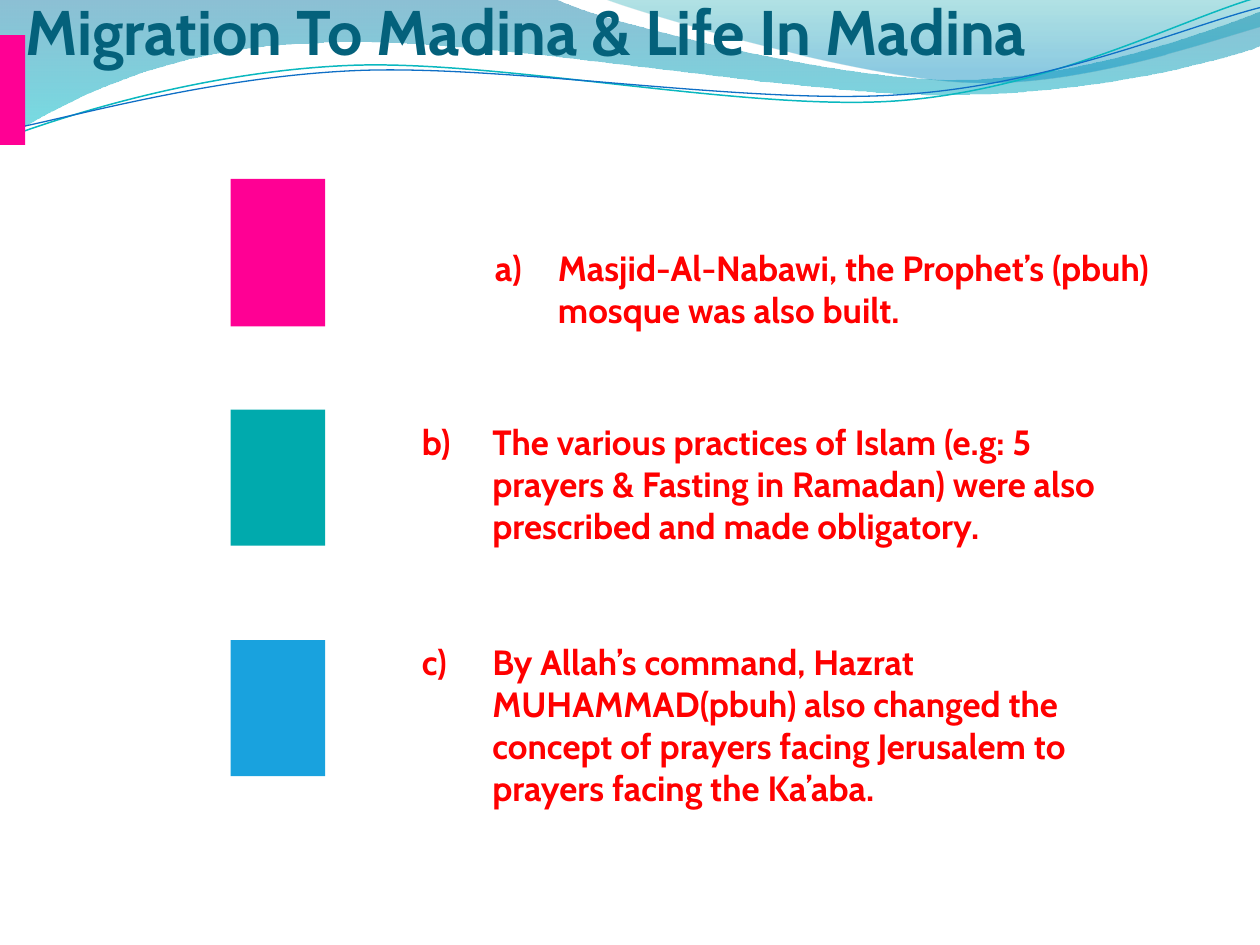
from math import cos, radians, sin
from pptx import Presentation
from pptx.dml.color import RGBColor
from pptx.enum.shapes import MSO_SHAPE
from pptx.enum.text import MSO_ANCHOR, MSO_AUTO_SIZE, PP_ALIGN
from pptx.oxml.ns import qn
from pptx.util import Inches, Pt
from lxml.etree import SubElement

FONT = "Cabin"
PINK, TEAL, BLUE = "FF0094", "00AAAD", "19A2DE"

# Each wave is a start point followed by segments: 2 numbers draw a line, 6 a Bezier curve.
BACK_WAVE = [(0, 0), (4.4, -0.01), (4.76, 0.17, 6.64, 0.63, 7.58, 0.63),
             (8.53, 0.63, 9.58, 0.26, 10, 0.09), (10.01, 0.36),
             (9.83, 0.44, 8.7, 0.76, 7.46, 0.75), (6.22, 0.75, 3.82, 0.28, 2.57, 0.34),
             (1.29, 0.36, 0.46, 0.83, -0.01, 1.13), (0, 0)]
FRONT_WAVE = [(4.79, -0.01), (5.09, 0.11, 6.82, 0.62, 7.69, 0.65),
              (8.56, 0.69, 9.61, 0.32, 10, 0.21), (10, 0), (4.79, -0.01)]
TEAL_LINE = [(0, 1.11), (0.48, 0.93, 1.58, 0.57, 2.77, 0.52),
             (3.95, 0.47, 5.93, 0.89, 7.13, 0.8), (8.33, 0.71, 9.38, 0.15, 9.98, -0.02)]
BLUE_LINE = [(0, 1.04), (0.47, 0.96, 1.64, 0.61, 2.83, 0.56),
             (4.03, 0.51, 5.97, 0.84, 7.17, 0.75), (8.36, 0.67, 9.41, 0.21, 10, 0.06)]
LINE_TILT = -2.7


def rgb(color):
    return RGBColor.from_string(color)


def set_text(tf, text, size, color, bold=True, anchor=MSO_ANCHOR.MIDDLE):
    tf.word_wrap = True
    tf.auto_size = MSO_AUTO_SIZE.NONE
    tf.vertical_anchor = anchor
    p = tf.paragraphs[0]
    p.alignment = PP_ALIGN.LEFT
    r = p.add_run()
    r.text = text
    r.font.name, r.font.size, r.font.bold = FONT, Pt(size), bold
    r.font.color.rgb = rgb(color)
    return p


def set_indent(p, left, hanging):
    pPr = p._p.get_or_add_pPr()
    pPr.set("marL", str(Inches(left)))
    pPr.set("indent", str(-Inches(hanging)))
    return pPr


def add_curve(s, outline, box, tilt=0):
    """Draw the outline in a box (left, top, width, height) turned by tilt degrees."""
    left, top, width, height = box
    cx, cy = left + width / 2, top + height / 2
    turn = radians(-tilt)

    def local(x, y):
        dx, dy = x - cx, y - cy
        return (Inches(dx * cos(turn) - dy * sin(turn) + width / 2),
                Inches(dx * sin(turn) + dy * cos(turn) + height / 2))

    builder = s.shapes.build_freeform(*local(*outline[0]))
    builder.add_line_segments([local(*seg[-2:]) for seg in outline[1:]],
                              close=outline[0] == outline[-1])
    sp = builder.convert_to_shape()
    sp.left, sp.top, sp.width, sp.height = map(Inches, box)
    sp.rotation = tilt
    sp.shadow.inherit = False

    path_node = next(sp.element.iter(qn("a:path")))
    path_node.set("w", str(Inches(width)))
    path_node.set("h", str(Inches(height)))
    for node, seg in zip(list(path_node), outline):
        if node.tag == qn("a:close"):
            continue
        for pt in list(node):
            node.remove(pt)
        if len(seg) == 6:
            curve = SubElement(path_node, qn("a:cubicBezTo"))
            path_node.replace(node, curve)
            node = curve
        for x, y in zip(seg[::2], seg[1::2]):
            px, py = local(x, y)
            SubElement(node, qn("a:pt"), x=str(px), y=str(py))
    return sp


def add_wave(s, outline, box, stops):
    """Fill a wave from top to bottom; each stop is position, colour, opacity in percent."""
    sp = add_curve(s, outline, box)
    sp.line.fill.background()
    sp.fill.gradient()
    sp.fill.gradient_angle = 270
    for stop, (position, color, opacity) in zip(sp.fill.gradient_stops, stops):
        stop.position = position
        stop.color.rgb = rgb(color)
    for node, (_, _, opacity) in zip(sp.element.spPr.iter(qn("a:srgbClr")), stops):
        SubElement(node, qn("a:alpha"), val=str(opacity * 1000))


def add_wave_line(s, outline, box, color, width):
    sp = add_curve(s, outline, box, LINE_TILT)
    sp.fill.background()
    sp.line.color.rgb = rgb(color)
    sp.line.width = Pt(width)


def add_block(s, left, top, width, height, color):
    sp = s.shapes.add_shape(MSO_SHAPE.RECTANGLE, Inches(left), Inches(top),
                            Inches(width), Inches(height))
    sp.shadow.inherit = False
    sp.fill.solid()
    sp.fill.fore_color.rgb = rgb(color)
    sp.line.fill.background()


def add_header_art(s):
    add_wave(s, BACK_WAVE, (-0.01, -0.01, 10.02, 1.14),
             [(0, "0074A1", 45), (1, "00C6CF", 55)])
    add_wave(s, FRONT_WAVE, (4.79, -0.01, 5.21, 0.7),
             [(0, "00A1A9", 30), (0.8, "008BBF", 45)])
    add_wave_line(s, TEAL_LINE, (-0.02, 0.22, 10.02, 0.71), "0AB8BF", 0.85)
    add_wave_line(s, BLUE_LINE, (-0.02, 0.3, 10.03, 0.58), "0F6FC6", 0.75)
    add_block(s, 0, 0.28, 0.2, 0.87, PINK)


def add_title(s, left, top, width, height, text):
    title = s.shapes.title
    title.left, title.top = Inches(left), Inches(top)
    title.width, title.height = Inches(width), Inches(height)
    tf = title.text_frame
    tf.margin_left = tf.margin_right = tf.margin_bottom = 0
    tf.margin_top = Inches(0.05)
    set_text(tf, text, 36, "04617B", anchor=MSO_ANCHOR.BOTTOM)
    title.element.getparent().append(title.element)  # in front of the waves


def add_blocks(s, left, top, pitch, width):
    for i, (color, height) in enumerate([(PINK, 1.17), (TEAL, 1.08), (BLUE, 1.08)]):
        add_block(s, left, top + i * pitch, width, height, color)


def add_point(s, left, top, width, height, text):
    box = s.shapes.add_textbox(Inches(left), Inches(top), Inches(width), Inches(height))
    return set_text(box.text_frame, text, 20, "FF0000")


def add_points(s, left, top):
    p = add_point(s, left + 0.08, top, 6.25, 1.42,
                  "Masjid-Al-Nabawi, the Prophet’s (pbuh) mosque was also built.")
    p.level = 1
    pPr = set_indent(p, 1, 0.5)
    SubElement(pPr, qn("a:buFont"), typeface=FONT)
    SubElement(pPr, qn("a:buAutoNum"), type="alphaLcParenR")

    for y, width, height, text in [
        (1.17, 5.83, 2.17,
         "b)\tThe various practices of Islam (e.g: 5 prayers & Fasting in Ramadan) "
         "were also prescribed and made obligatory."),
        (3.42, 5.33, 1.5,
         "c)\tBy Allah’s command, Hazrat MUHAMMAD(pbuh) also changed the concept of "
         "prayers facing Jerusalem to prayers facing the Ka’aba."),
    ]:
        set_indent(add_point(s, left, top + y, width, height, text), 0.56, 0.56)


def main():
    prs = Presentation()
    prs.slide_width, prs.slide_height = Inches(10), Inches(7.5)
    s = prs.slides.add_slide(prs.slide_layouts[5])
    add_header_art(s)
    add_title(s, 0.2, -0.17, 9, 0.71, "Migration To Madina & Life In Madina")
    add_blocks(s, 1.83, 1.42, 1.83, 0.75)
    add_points(s, 3.25, 1.58)
    prs.save("out.pptx")


if __name__ == "__main__":
    main()
